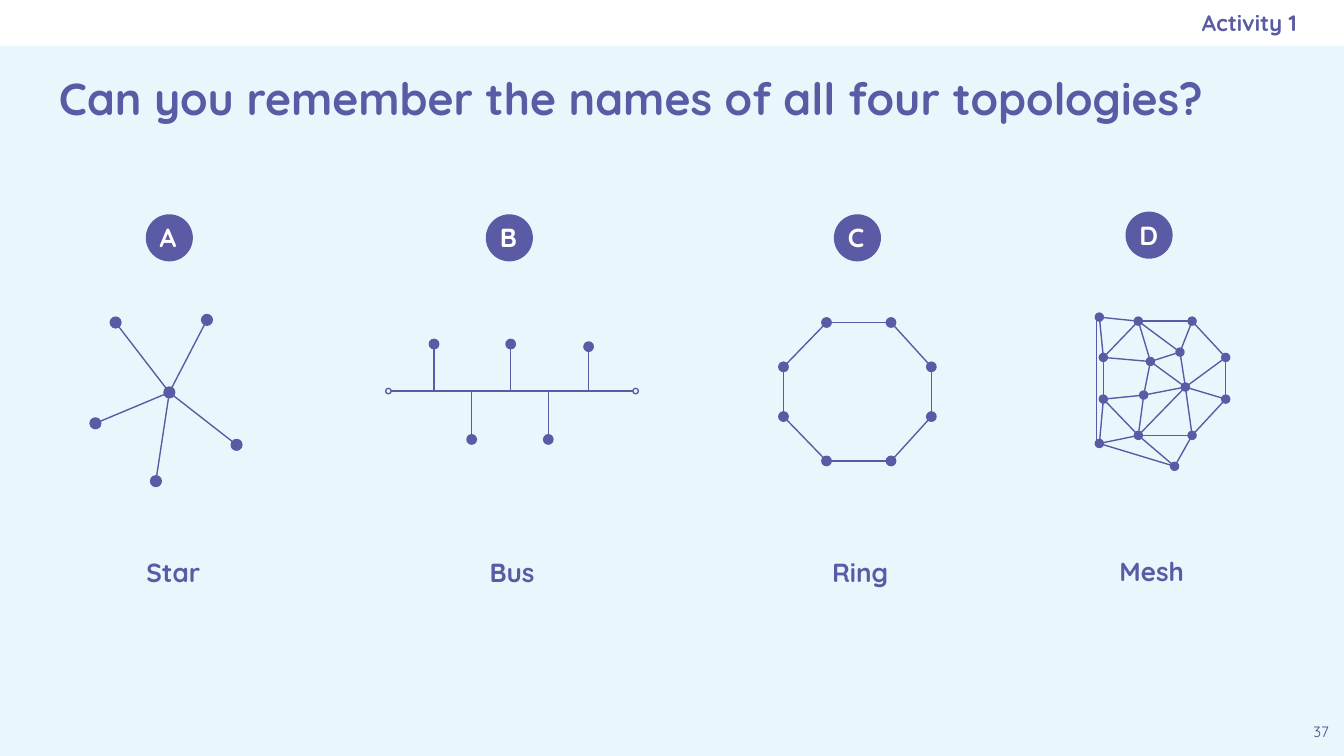
"""Build a quiz slide that shows the star, bus, ring and mesh network topologies."""
from math import hypot

from lxml import etree
from pptx import Presentation
from pptx.dml.color import RGBColor
from pptx.enum.shapes import MSO_CONNECTOR, MSO_SHAPE
from pptx.enum.text import MSO_ANCHOR, MSO_AUTO_SIZE, PP_ALIGN
from pptx.oxml.ns import qn
from pptx.util import Inches, Pt

OVAL, RECTANGLE = MSO_SHAPE.OVAL, MSO_SHAPE.RECTANGLE
STRAIGHT = MSO_CONNECTOR.STRAIGHT
TOP, MIDDLE = MSO_ANCHOR.TOP, MSO_ANCHOR.MIDDLE
LEFT, CENTER, RIGHT = PP_ALIGN.LEFT, PP_ALIGN.CENTER, PP_ALIGN.RIGHT
FIXED, GROW = MSO_AUTO_SIZE.NONE, MSO_AUTO_SIZE.SHAPE_TO_FIT_TEXT

PURPLE = RGBColor(0x5B, 0x5B, 0xA5)
DARK_PURPLE = RGBColor(0x49, 0x49, 0x85)
PALE_BLUE = RGBColor(0xE9, 0xF7, 0xFC)
WHITE = RGBColor(0xFF, 0xFF, 0xFF)

SLIDE_WIDTH = 10
SLIDE_HEIGHT = SLIDE_WIDTH * 9 / 16

TITLE = "Can you remember the names of all four topologies?"
ACTIVITY = "Activity 1"
PAGE_NUMBER = "37"

BADGE_SIZE = 0.34
LABEL_WIDTH, LABEL_HEIGHT = 0.82, 0.44
ANSWERS = [
    ("A", "Star", 1.09, 1.6, 0.88, 4.04),
    ("B", "Bus", 3.62, 1.6, 3.4, 4.04),
    ("C", "Ring", 6.21, 1.6, 5.99, 4.04),
    ("D", "Mesh", 8.38, 1.58, 8.16, 4.03),
]

STAR_HUB = (1.26, 2.92)
STAR_TIPS = [(0.86, 2.4), (1.54, 2.38), (1.76, 3.31), (1.16, 3.58), (0.71, 3.15)]

BUS_Y = 2.91
BUS_ENDS = [(2.89, BUS_Y), (4.73, BUS_Y)]
BUS_NODES = [(3.23, 2.56), (3.51, 3.27), (3.8, 2.56), (4.08, 3.27), (4.38, 2.58)]

RING_NODES = [
    (6.15, 2.4), (6.63, 2.4), (6.93, 2.73), (6.93, 3.1),
    (6.63, 3.43), (6.15, 3.43), (5.83, 3.1), (5.83, 2.73),
]

MESH_NODES = {
    "a": (8.21, 2.66), "b": (8.47, 2.39), "c": (8.87, 2.39), "d": (9.12, 2.66),
    "e": (8.21, 2.97), "f": (9.12, 2.97), "g": (8.47, 3.24), "h": (8.87, 3.24),
    "i": (8.18, 2.36), "j": (8.56, 2.69), "k": (8.51, 2.94), "l": (8.82, 2.88),
    "m": (8.78, 2.62), "n": (8.74, 3.47), "o": (8.18, 3.3),
}
MESH_EDGES = (
    "bc cd df fh hg ge ea ab ia ib eo og on gn hn kg "
    "ke jk aj bj bm mc jm kl jl ml ld lf lh lg"
).split()
MESH_SIDE = [(8.16, 2.38), (8.16, 3.28)]

STAR_DOT, LINK_DOT, MESH_DOT, END_DOT = 0.08, 0.07, 0.06, 0.04


def add_shape(slide, kind, box, fill=PURPLE, line=PURPLE):
    shape = slide.shapes.add_shape(kind, *map(Inches, box))
    shape.shadow.inherit = False
    if fill is None:
        shape.fill.background()
    else:
        shape.fill.solid()
        shape.fill.fore_color.rgb = fill
    if line is None:
        shape.line.fill.background()
    else:
        shape.line.color.rgb = line
        shape.line.width = Pt(0.75)


def add_text(slide, text, box, size, color=PURPLE, bold=True, align=LEFT,
             anchor=TOP, auto_size=FIXED, right_inset=0.1):
    frame = slide.shapes.add_textbox(*map(Inches, box)).text_frame
    frame_format = {
        "word_wrap": True, "auto_size": auto_size, "vertical_anchor": anchor,
        "margin_left": Inches(0.1), "margin_right": Inches(right_inset),
        "margin_top": Inches(0.1), "margin_bottom": Inches(0.1),
    }
    for name, value in frame_format.items():
        setattr(frame, name, value)
    paragraph = frame.paragraphs[0]
    paragraph.alignment = align
    run = paragraph.add_run()
    run.text = text
    for name, value in {"name": "Quicksand", "size": Pt(size), "bold": bold}.items():
        setattr(run.font, name, value)
    run.font.color.rgb = color


def add_dots(slide, centers, size, fill=PURPLE):
    for x, y in centers:
        add_shape(slide, OVAL, (x - size / 2, y - size / 2, size, size), fill)


def add_link(slide, start, end, start_gap=0, end_gap=0):
    (x1, y1), (x2, y2) = start, end
    length = hypot(x2 - x1, y2 - y1)
    dx, dy = (x2 - x1) / length, (y2 - y1) / length
    points = (x1 + dx * start_gap, y1 + dy * start_gap,
              x2 - dx * end_gap, y2 - dy * end_gap)
    connector = slide.shapes.add_connector(STRAIGHT, *map(Inches, points))
    connector.line.color.rgb = PURPLE
    connector.line.width = Pt(0.75)
    etree.SubElement(connector._element.spPr, qn("a:effectLst"))


def add_network(slide, nodes, edges, size):
    add_dots(slide, nodes, size)
    for start, end in edges:
        add_link(slide, start, end, size / 2, size / 2)


def add_bus(slide):
    add_dots(slide, BUS_ENDS, END_DOT, None)
    add_link(slide, *BUS_ENDS, END_DOT / 2, END_DOT / 2)
    add_dots(slide, BUS_NODES, LINK_DOT)
    for x, y in BUS_NODES:
        add_link(slide, (x, BUS_Y), (x, y), end_gap=LINK_DOT / 2)


def add_answer(slide, letter, name, badge_x, badge_y, label_x, label_y):
    add_shape(slide, OVAL, (badge_x, badge_y, BADGE_SIZE, BADGE_SIZE))
    add_text(slide, letter, (badge_x, badge_y - 0.05, 0.35, LABEL_HEIGHT), 14,
             WHITE, auto_size=GROW)
    add_text(slide, name, (label_x, label_y, LABEL_WIDTH, LABEL_HEIGHT), 14,
             align=CENTER, auto_size=GROW)


def main():
    presentation = Presentation()
    presentation.slide_width = Inches(SLIDE_WIDTH)
    presentation.slide_height = Inches(SLIDE_HEIGHT)
    slide = presentation.slides.add_slide(presentation.slide_layouts[6])
    slide.background.fill.solid()
    slide.background.fill.fore_color.rgb = PALE_BLUE

    add_shape(slide, RECTANGLE, (0, 0, SLIDE_WIDTH, 0.34), WHITE, None)
    add_text(slide, TITLE, (0.34, 0.34, 9.32, 0.77), 24, anchor=MIDDLE)
    add_text(slide, PAGE_NUMBER, (9.66, 5.28, 0.34, 0.34), 8, DARK_PURPLE,
             bold=False, align=CENTER)
    add_text(slide, ACTIVITY, (5.75, 0, 3.9, 0.34), 12, align=RIGHT,
             anchor=MIDDLE, right_inset=0)

    star_edges = [(STAR_HUB, tip) for tip in STAR_TIPS]
    add_network(slide, [STAR_HUB, *STAR_TIPS], star_edges, STAR_DOT)
    add_bus(slide)
    ring_edges = zip(RING_NODES, RING_NODES[1:] + RING_NODES[:1])
    add_network(slide, RING_NODES, ring_edges, LINK_DOT)
    mesh_edges = [(MESH_NODES[start], MESH_NODES[end]) for start, end in MESH_EDGES]
    add_network(slide, MESH_NODES.values(), mesh_edges, MESH_DOT)
    add_link(slide, *MESH_SIDE)

    for answer in ANSWERS:
        add_answer(slide, *answer)
    presentation.save("out.pptx")


if __name__ == "__main__":
    main()
